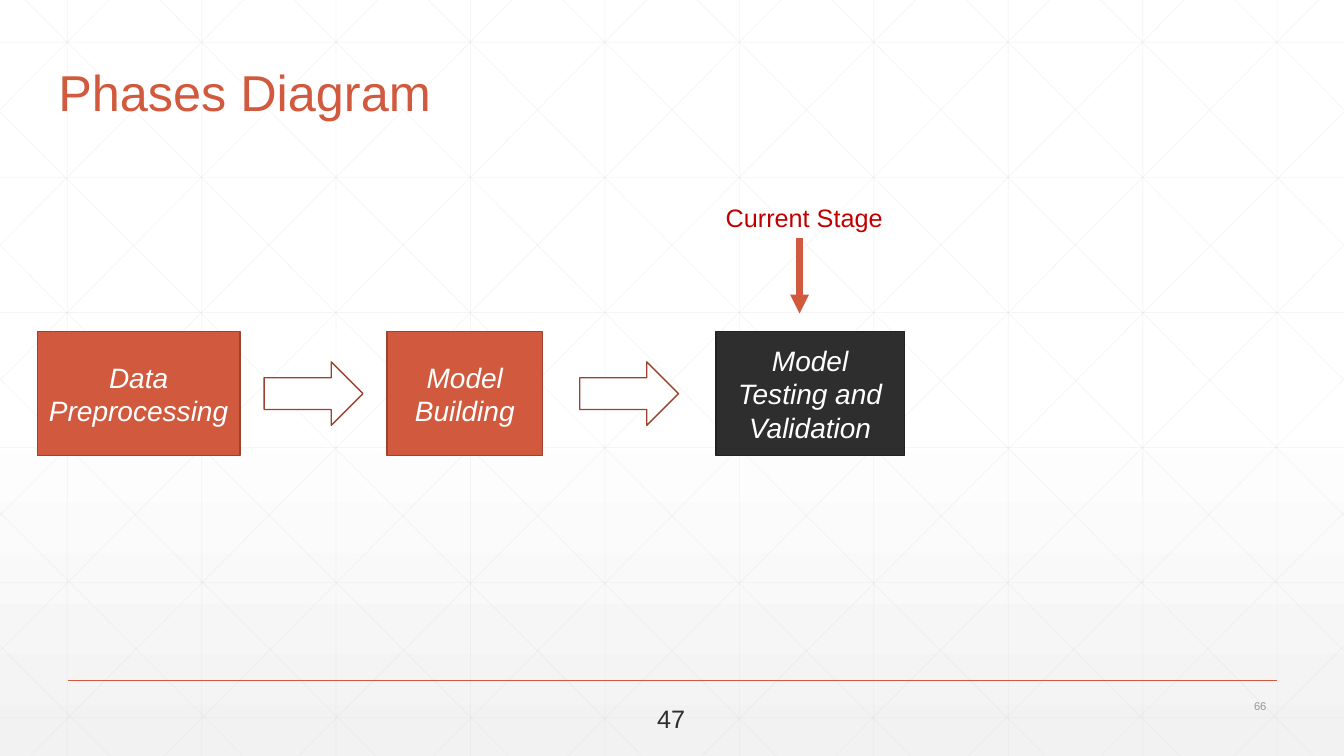
from lxml import etree
from pptx import Presentation
from pptx.dml.color import RGBColor
from pptx.enum.shapes import MSO_CONNECTOR, MSO_SHAPE
from pptx.enum.text import MSO_ANCHOR as Anchor, PP_ALIGN as Align
from pptx.oxml import parse_xml
from pptx.oxml.ns import nsdecls, qn
from pptx.util import Inches, Pt

WIDTH, HEIGHT = 13.33, 7.5
FONT = "Arial"
WHITE = RGBColor(0xFF, 0xFF, 0xFF)
GRID_GREY = RGBColor(0xD9, 0xD9, 0xD9)
ORANGE = RGBColor(0xD1, 0x5A, 0x3E)
RUST = RGBColor(0x9B, 0x43, 0x2E)
CHARCOAL = RGBColor(0x2D, 0x2E, 0x2D)
BLACK = RGBColor(0x21, 0x22, 0x21)
RED = RGBColor(0xC0, 0x00, 0x00)
NUMBER_GREY = RGBColor(0x95, 0x97, 0x95)

# Content: phases as text, left, width, fill, outline
PHASES = [
    ("Data Preprocessing", 0.37, 2.01, ORANGE, RUST),
    ("Model Building", 3.84, 1.54, ORANGE, RUST),
    ("Model Testing and Validation", 7.1, 1.87, CHARCOAL, BLACK),
]
PHASE_TOP, PHASE_HEIGHT = 3.29, 1.23
ARROW_LEFTS = [2.62, 5.75]
ARROW_TOP, ARROW_WIDTH, ARROW_HEIGHT = 3.59, 0.98, 0.63

# Labels as text, (left, top, width, height), format
LABELS = [
    ("47", (6.42, 6.93, 0.48, 0.4), dict(size=18, color=CHARCOAL, wrap=False)),
    ("Phases Diagram", (0.48, 0.53, 10.5, 1.25),
     dict(size=36, color=ORANGE, anchor=Anchor.BOTTOM, spacing=0.9, bottom=0.57)),
    ("Current Stage", (7.1, 1.96, 1.87, 0.4), dict(size=18, color=RED)),
    ("66", (11.66, 6.88, 1, 0.24),
     dict(size=8, color=NUMBER_GREY, anchor=Anchor.MIDDLE, align=Align.RIGHT)),
]

# Background grid
GRID_STEP = 4 / 3
ROW_STEP = 1.34
DIAGONAL_RUN = 7.45
BACKGROUND_STOPS = [(0, WHITE), (53, WHITE), (100, RGBColor(0xF2, 0xF2, 0xF2))]


def grid_lines():
    for column in range(10):
        x = 2 / 3 + column * GRID_STEP
        yield (x, 0), (x, HEIGHT)
    for row in range(6):
        y = 0.42 + row * ROW_STEP
        yield (0, y), (WIDTH, y)
    falling = []
    for column in range(10):
        x = 0.25 + column * GRID_STEP
        run = min(DIAGONAL_RUN, WIDTH - x)
        falling.append(((x, 0), (x + run, run * HEIGHT / DIAGONAL_RUN)))
    for row in range(5):
        falling.append(((0, 1.11 + row * 1.325), (6.37 - row * 1.32, HEIGHT)))
    yield from falling
    for (x1, y1), (x2, y2) in falling:
        yield (WIDTH - x1, y1), (WIDTH - x2, y2)


def write(shape, text, size, color, italic=False, align=Align.LEFT,
          anchor=Anchor.TOP, wrap=True, spacing=None, bottom=0.05):
    frame = shape.text_frame
    frame.word_wrap = wrap
    frame.vertical_anchor = anchor
    frame.margin_bottom = Inches(bottom)
    para = frame.paragraphs[0]
    para.alignment = align
    para.line_spacing = spacing
    span = para.add_run()
    span.text = text
    span.font.name = FONT
    span.font.size = Pt(size)
    span.font.italic = italic
    span.font.color.rgb = color


def add_line(page, start, end, color, width):
    line = page.shapes.add_connector(
        MSO_CONNECTOR.STRAIGHT, *(Inches(v) for v in (*start, *end)))
    line.line.color.rgb = color
    line.line.width = Pt(width)
    etree.SubElement(line._element.spPr, qn("a:effectLst"))
    return line


def add_block(page, kind, box, fill, outline):
    block = page.shapes.add_shape(kind, *(Inches(v) for v in box))
    block.shadow.inherit = False
    block.fill.solid()
    block.fill.fore_color.rgb = fill
    block.line.color.rgb = outline
    block.line.width = Pt(1)
    return block


def paint_background(page):
    fill = page.background.fill
    fill.gradient()
    fill.gradient_angle = 270
    stops = page.background._cSld.find(".//" + qn("a:gsLst"))
    for stop in list(stops):
        stops.remove(stop)
    for position, color in BACKGROUND_STOPS:
        stops.append(parse_xml(
            f'<a:gs {nsdecls("a")} pos="{position * 1000}">'
            f'<a:srgbClr val="{color}"/></a:gs>'))


def main():
    deck = Presentation()
    deck.slide_width, deck.slide_height = Inches(WIDTH), Inches(HEIGHT)
    page = deck.slides.add_slide(deck.slide_layouts[6])

    # Backdrop
    paint_background(page)
    for start, end in grid_lines():
        line = add_line(page, start, end, GRID_GREY, 0.5)
        tint = line._element.spPr.find(".//" + qn("a:srgbClr"))
        etree.SubElement(tint, qn("a:alpha"), val="25000")
    add_line(page, (0.67, 6.75), (12.67, 6.75), ORANGE, 1)

    # Phases and the arrows between them
    for text, left, width, fill, outline in PHASES:
        block = add_block(page, MSO_SHAPE.RECTANGLE,
                          (left, PHASE_TOP, width, PHASE_HEIGHT), fill, outline)
        write(block, text, size=20, color=WHITE, italic=True,
              align=Align.CENTER, anchor=Anchor.MIDDLE)
    for left in ARROW_LEFTS:
        add_block(page, MSO_SHAPE.RIGHT_ARROW,
                  (left, ARROW_TOP, ARROW_WIDTH, ARROW_HEIGHT), WHITE, RUST)

    # Current stage pointer
    pointer = add_line(page, (7.93, 2.36), (7.93, 3.11), ORANGE, 4.5)
    etree.SubElement(pointer.line._get_or_add_ln(), qn("a:tailEnd"), type="triangle")

    # Title, label and page numbers
    for text, box, style in LABELS:
        write(page.shapes.add_textbox(*(Inches(v) for v in box)), text, **style)

    deck.save("out.pptx")


if __name__ == "__main__":
    main()
